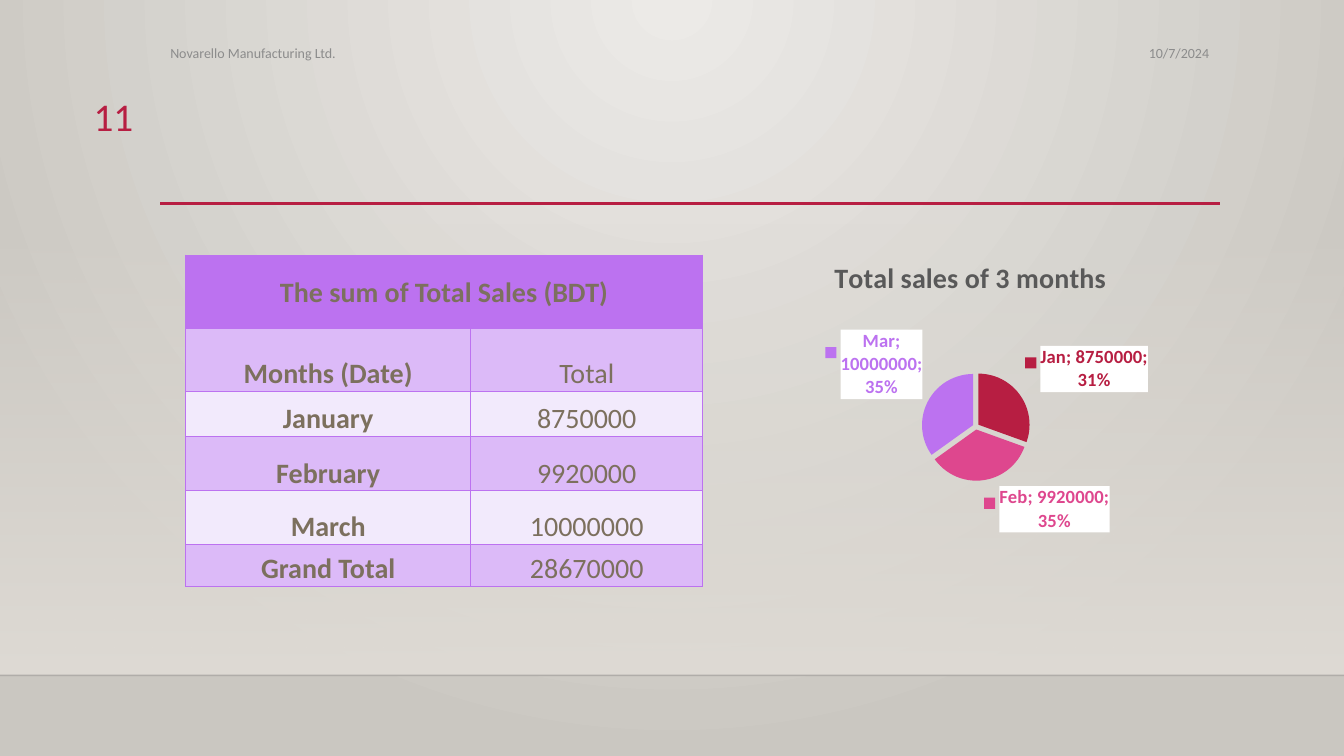
"""Build the three-month sales slide with its table and pie chart."""
from lxml import etree
from pptx import Presentation
from pptx.chart.data import CategoryChartData
from pptx.dml.color import RGBColor
from pptx.enum.chart import XL_CHART_TYPE, XL_LABEL_POSITION
from pptx.enum.shapes import MSO_CONNECTOR, MSO_SHAPE
from pptx.enum.text import MSO_ANCHOR, PP_ALIGN
from pptx.oxml.ns import qn
from pptx.util import Inches, Pt

PIE = XL_CHART_TYPE.PIE
OUTER = XL_LABEL_POSITION.OUTSIDE_END
STRAIGHT = MSO_CONNECTOR.STRAIGHT
RECT = MSO_SHAPE.RECTANGLE
TOP, MIDDLE, BOTTOM = MSO_ANCHOR.TOP, MSO_ANCHOR.MIDDLE, MSO_ANCHOR.BOTTOM
LEFT, CENTER, RIGHT = PP_ALIGN.LEFT, PP_ALIGN.CENTER, PP_ALIGN.RIGHT
FONT = "Calibri"
RED, PINK, PURPLE = "B71E42", "DE478E", "BC72F0"


def hue(code):
    return RGBColor.from_string(code)


def add(parent, tag, text=None, **attrs):
    node = etree.SubElement(parent, qn(tag), attrs)
    node.text = text
    return node


prs = Presentation()
prs.slide_width, prs.slide_height = Inches(13.33), Inches(7.5)
slide = prs.slides.add_slide(prs.slide_layouts[6])
shapes = slide.shapes

back = slide.background.fill
back.gradient()
for stop, code in zip(back.gradient_stops, ("ECEAE7", "CAC7C1")):
    stop.color.rgb = hue(code)
grad = slide.element.find(".//" + qn("a:gradFill"))
grad.remove(grad.find(qn("a:lin")))
glow = add(grad, "a:path", path="circle")
add(glow, "a:fillToRect", l="43000", t="0", r="43000", b="100000")

wall = shapes.add_shape(RECT, 0, Inches(2.21), Inches(13.33), Inches(4.49))
wall.shadow.inherit = False
wall.line.fill.background()
wall.fill.gradient()
wall.fill.gradient_angle = 270
for stop in wall.fill.gradient_stops:
    stop.color.rgb = hue("DFDBD5")
add(wall.element.find(".//" + qn("a:srgbClr")), "a:alpha", val="0")

for x1, x2, y, code, width, alpha in (
    (0, 13.33, 6.7, "000001", 1, "20000"),
    (1.59, 12.1, 2.02, RED, 2.5, "100000"),
):
    rule = shapes.add_connector(STRAIGHT, Inches(x1), Inches(y), Inches(x2), Inches(y))
    rule.line.color.rgb = hue(code)
    rule.line.width = Pt(width)
    add(rule.element.find(".//" + qn("a:srgbClr")), "a:alpha", val=alpha)
    add(rule.element.spPr, "a:effectLst")

rows = (
    ("The sum of Total Sales (BDT)", "", 0.73),
    ("Months (Date)", "Total", 0.62),
    ("January", "8750000", 0.45),
    ("February", "9920000", 0.54),
    ("March", "10000000", 0.53),
    ("Grand Total", "28670000", 0.42),
)
table = shapes.add_table(
    len(rows), 2, Inches(1.84), Inches(2.53), Inches(5.13), Inches(3.29)
).table
table.columns[0].width, table.columns[1].width = Inches(2.83), Inches(2.3)
table.cell(0, 0).merge(table.cell(0, 1))
for r, (*texts, height) in enumerate(rows):
    table.rows[r].height = Inches(height)
    for c, text in enumerate(texts):
        cell = table.cell(r, c)
        cell.margin_left = cell.margin_right = Inches(0.07)
        cell.margin_top = cell.margin_bottom = 0
        cell.vertical_anchor = BOTTOM if r else MIDDLE
        props = cell._tc.get_or_add_tcPr()
        for side in ("a:lnL", "a:lnR", "a:lnT", "a:lnB"):
            edge = add(props, side, w=str(Pt(0.75)))
            add(add(edge, "a:solidFill"), "a:srgbClr", val=PURPLE)
        cell.fill.solid()
        band = "DCBAF8" if r % 2 else "F2EAFC"
        if r == 0:
            band = PURPLE
        elif r == len(rows) - 1:
            band = "DCBAF8"
        cell.fill.fore_color.rgb = hue(band)
        if text:
            para = cell.text_frame.paragraphs[0]
            para.text = text
            para.alignment = CENTER
            para.line_spacing = 1.07
            para.font.name, para.font.size = FONT, Pt(20)
            para.font.bold = c == 0
            para.font.color.rgb = hue("7C705E")

data = CategoryChartData()
data.categories = ("Jan", "Feb", "Mar")
data.add_series("Series 1", (8750000, 9920000, 10000000))
chart = shapes.add_chart(
    PIE, Inches(6.89), Inches(2.39), Inches(5.47), Inches(3.26), data
).chart
chart.font.name, chart.font.size = FONT, Pt(10)
chart.font.color.rgb = hue("000000")
chart.has_legend = False
chart.has_title = True
title = chart.chart_title.text_frame.paragraphs[0]
title.text = "Total sales of 3 months"
title.font.name, title.font.size, title.font.bold = FONT, Pt(20), True
title.font.color.rgb = hue("595959")

plot = chart.plots[0]
plot.vary_by_categories = True
series = plot.series[0]
for i, code in enumerate((RED, PINK, PURPLE)):
    point = series.points[i]
    point.format.fill.solid()
    point.format.fill.fore_color.rgb = hue(code)
    label = point.data_label
    label.position = OUTER
    font = label.font
    font.name, font.size, font.bold = FONT, Pt(13.3), True
    font.color.rgb = hue(code)

ser = series._element
burst = add(ser, "c:explosion", val="6")
ser.find(qn("c:dPt")).addprevious(burst)
for label in ser.iter(qn("c:dLbl")):
    for tag in ("c:showLegendKey", "c:showVal", "c:showCatName", "c:showPercent"):
        label.find(qn(tag)).set("val", "1")
    add(label, "c:separator", "; ")
    box = add(label, "c:spPr")
    add(add(box, "a:solidFill"), "a:srgbClr", val="FFFFFF")
    label.find(qn("c:txPr")).addprevious(box)

area = chart._chartSpace.find(".//" + qn("c:plotArea"))
for old in area.findall(qn("c:layout")):
    area.remove(old)
layout = add(area, "c:layout")
area.insert(0, layout)
manual = add(layout, "c:manualLayout")
for tag, val in (
    ("layoutTarget", "inner"), ("xMode", "edge"), ("yMode", "edge"),
    ("x", "0.41"), ("y", "0.4"), ("w", "0.2"), ("h", "0.33"),
):
    add(manual, "c:" + tag, val=val)

for text, x, y, w, h, size, code, align, anchor in (
    ("10/7/2024", 8.26, 0.36, 3.83, 0.34, 10, "8C8C8C", RIGHT, MIDDLE),
    ("Novarello Manufacturing Ltd.", 1.59, 0.36, 6.49, 0.34, 10, "8C8C8C", LEFT, MIDDLE),
    ("11", 0.53, 0.87, 0.89, 0.55, 28, RED, RIGHT, TOP),
):
    frame = shapes.add_textbox(Inches(x), Inches(y), Inches(w), Inches(h)).text_frame
    frame.word_wrap = True
    frame.vertical_anchor = anchor
    para = frame.paragraphs[0]
    para.text = text
    para.alignment = align
    para.font.name, para.font.size = FONT, Pt(size)
    para.font.color.rgb = hue(code)

prs.save("out.pptx")
